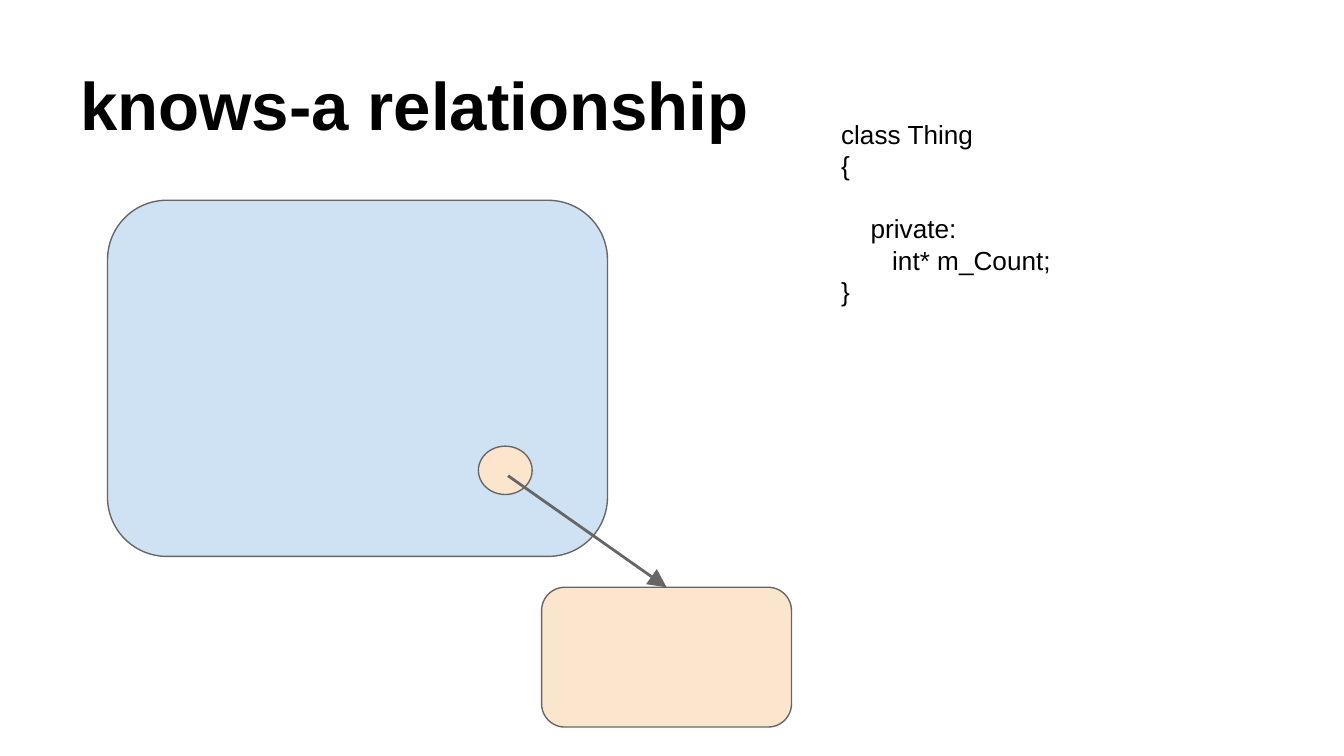
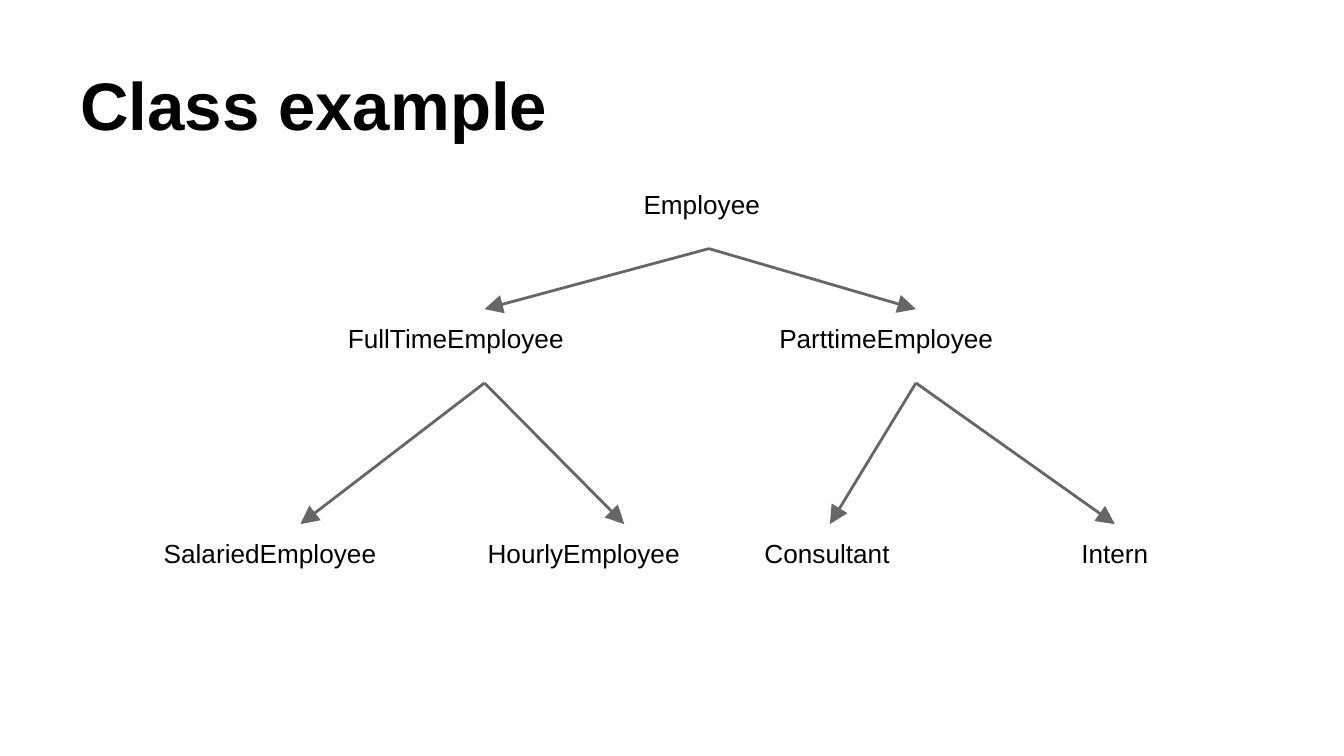
from lxml.etree import SubElement
from pptx import Presentation
from pptx.dml.color import RGBColor
from pptx.enum.shapes import MSO_CONNECTOR as Conn, MSO_SHAPE as Kind
from pptx.enum.text import MSO_ANCHOR as Anchor, PP_ALIGN as Align
from pptx.oxml.ns import qn
from pptx.util import Inches, Pt

# Shared look
FONT, INK, GREY = "Arial", "000000", "666666"
BLUE, PEACH = "CFE2F3", "FCE5CD"
WIDTH = 10
HEIGHT = WIDTH * 9 / 16

# Slide 1: class box, its pointer and the thing it knows
KNOWS = "knows-a relationship"
OWNER = (0.8, 1.49, 3.72, 2.65)
KNOWN = (4.03, 4.37, 1.86, 1.04)
DOT = (3.56, 3.32, 0.4, 0.36)
LINK = (3.78, 3.54)
CODE_BOX = (6.16, 0.78, 3.45, 4.47)
# line, indent in inches, space before in points
CODE = [
    ("class Thing", 0, 0),
    ("{", 0, 0),
    ("private:", 0.22, 17),
    ("int* m_Count;", 0.38, 0),
    ("}", 0, 0),
]

# Slide 2: name, parent, left, level, width
CLASSES = "Class example"
WIDE, SLIM, TALL = 2.23, 1.17, 0.55
LEVELS = [1.3, 2.3, 3.9]
TREE = [
    ("Employee", None, 4.69, 0, SLIM),
    ("SalariedEmployee", "FullTimeEmployee", 1.12, 2, WIDE),
    ("HourlyEmployee", "FullTimeEmployee", 3.53, 2, WIDE),
    ("Consultant", "ParttimeEmployee", 5.59, 2, SLIM),
    ("Intern", "ParttimeEmployee", 7.18, 2, WIDE),
    ("FullTimeEmployee", "Employee", 2.49, 1, WIDE),
    ("ParttimeEmployee", "Employee", 5.7, 1, WIDE),
]
CENTRED = {"Intern"}


def color(code):
    return RGBColor.from_string(code)


def place(box):
    return [Inches(n) for n in box]


def add_text(slide, box, text, size=14, bold=False, anchor=Anchor.TOP):
    frame = slide.shapes.add_textbox(*place(box)).text_frame
    frame.word_wrap = True
    frame.vertical_anchor = anchor
    frame.margin_left = frame.margin_right = Inches(0.1)
    frame.margin_top = frame.margin_bottom = Inches(0.1)
    frame.text = text
    for par in frame.paragraphs:
        for run in par.runs:
            run.font.name, run.font.size = FONT, Pt(size)
            run.font.bold = bold
            run.font.color.rgb = color(INK)
    return frame


def add_slide(deck, title):
    slide = deck.slides.add_slide(deck.slide_layouts[6])
    add_text(slide, (0.5, 0.23, 9, 0.94), title, 36, True, Anchor.BOTTOM)
    return slide


def add_form(slide, kind, box, fill):
    form = slide.shapes.add_shape(kind, *place(box))
    form.shadow.inherit = False
    form.fill.solid()
    form.fill.fore_color.rgb = color(fill)
    form.line.color.rgb = color(GREY)
    form.line.width = Pt(0.75)


def add_arrow(slide, start, end):
    arrow = slide.shapes.add_connector(Conn.STRAIGHT, *place(start + end))
    arrow.line.color.rgb = color(GREY)
    arrow.line.width = Pt(1.5)
    props = arrow._element.spPr
    SubElement(props.find(qn("a:ln")), qn("a:tailEnd"),
               type="triangle", w="lg", len="lg")
    SubElement(props, qn("a:effectLst"))


def top(box):
    return box[0] + box[2] / 2, box[1]


def foot(box):
    return box[0] + box[2] / 2, box[1] + box[3]


def draw_knows(deck):
    slide = add_slide(deck, KNOWS)
    add_form(slide, Kind.ROUNDED_RECTANGLE, OWNER, BLUE)
    add_form(slide, Kind.ROUNDED_RECTANGLE, KNOWN, PEACH)
    add_form(slide, Kind.OVAL, DOT, PEACH)
    add_arrow(slide, LINK, top(KNOWN))

    # Code sample
    frame = add_text(slide, CODE_BOX, "\n".join(row[0] for row in CODE))
    for par, (_, indent, gap) in zip(frame.paragraphs, CODE):
        par.space_before = Pt(gap)
        props = par._p.get_or_add_pPr()
        props.set("marL", str(Inches(indent)))
        props.set("indent", "0")


def draw_tree(deck):
    slide = add_slide(deck, CLASSES)
    boxes = {name: (left, LEVELS[level], width, TALL)
             for name, _, left, level, width in TREE}
    for name, box in boxes.items():
        frame = add_text(slide, box, name)
        if name in CENTRED:
            frame.paragraphs[0].alignment = Align.CENTER

    # Parent to child, upper level first
    for name, parent, *_ in sorted(TREE, key=lambda row: row[3]):
        if parent:
            add_arrow(slide, foot(boxes[parent]), top(boxes[name]))


def main():
    deck = Presentation()
    deck.slide_width, deck.slide_height = place((WIDTH, HEIGHT))
    draw_knows(deck)
    draw_tree(deck)
    deck.save("out.pptx")


if __name__ == "__main__":
    main()
